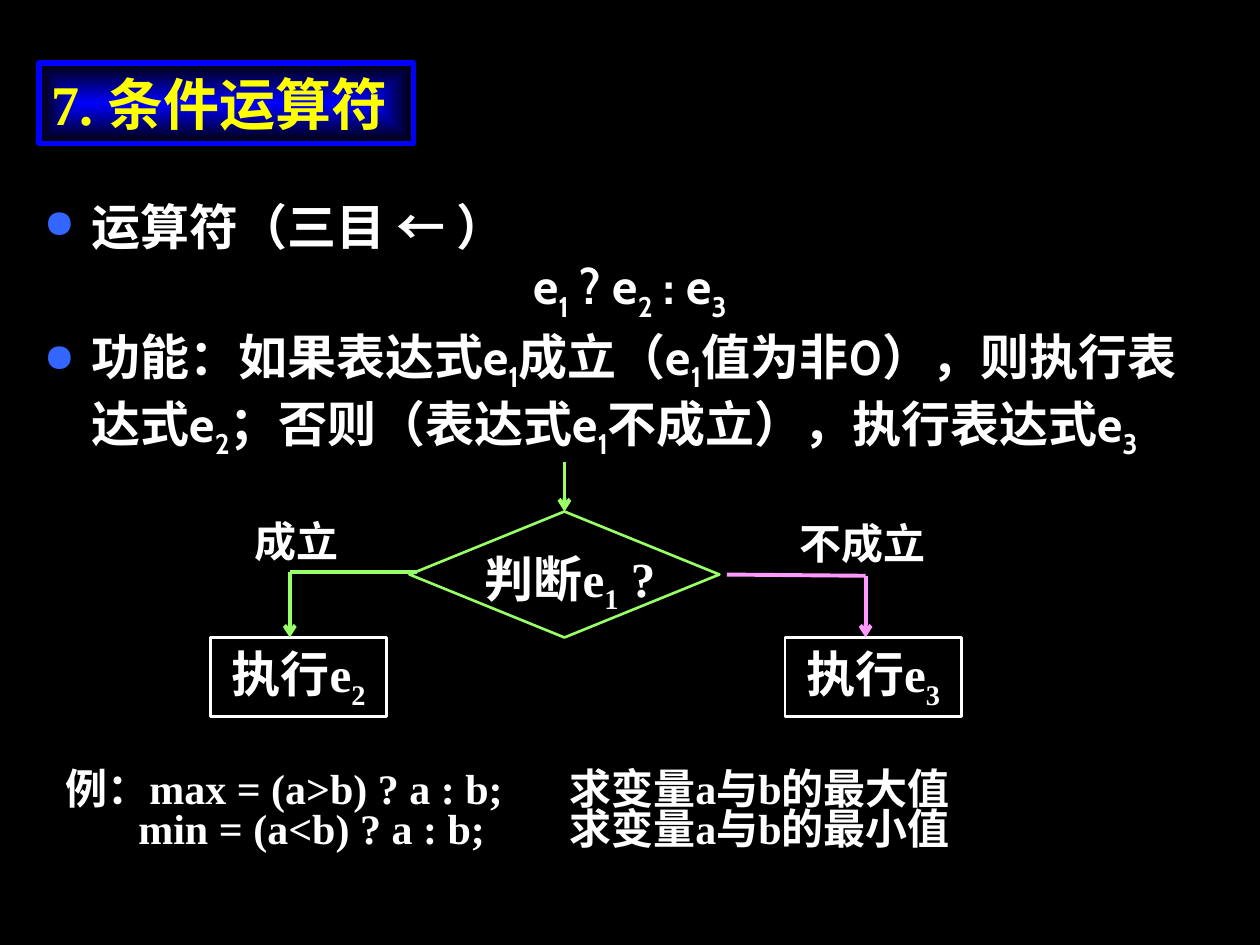
from lxml import etree
from pptx import Presentation
from pptx import util as u
from pptx.dml import color
from pptx.enum import shapes, text
from pptx.oxml import ns

# Content: "_" lowers the character that follows it
TITLE = "7. 条件运算符"
BODY = [
    ("运算符（三目 ← ）", "bullet"),
    ("e_1 ? e_2 : e_3", "formula"),
    ("功能：如果表达式e_1成立（e_1值为非0），则执行表达式e_2；"
     "否则（表达式e_1不成立），执行表达式e_3", "bullet"),
]
EXAMPLES = [
    "例：max = (a>b) ? a : b;\t求变量a与b的最大值",
    "\tmin = (a<b) ? a : b;\t求变量a与b的最小值",
]
QUESTION = "判断e_1 ?"

# Grid of 40 columns by 30 rows; areas are column, row, columns, rows
COLUMNS, ROWS = 40, 30
AREAS = {
    "title": (1.24, 2, 11.88, 2.56),
    "body": (1, 6.04, 38, 10.96),
    "examples": (1.68, 24.32, 38, 4),
    "decision": (13, 16.24, 9.84, 4),
    "question": (15, 17.4, 6.92, 2.12),
}
ACTION_ROW, ACTION_SIZE = 20.24, (5.6, 2.52)
INLET_ROW = 14.68
BRANCHES = [
    {"label": "成立", "label_area": (7.68, 16.16, 3.76, 2), "action": "执行e_2",
     "column": 6.68, "color": "yes", "start": (13.24, 18.16), "turn": (9.2, 18.16)},
    {"label": "不成立", "label_area": (25, 16.24, 5, 2), "action": "执行e_3",
     "column": 24.92, "color": "no", "start": (23.08, 18.24), "turn": (27.48, 18.28)},
]

THEME = {
    "background": "000000", "text": "FFFFFF", "title": "FFFF00", "frame": "0000FF",
    "bullet": "3366FF", "yes": "99FF66", "no": "FF99FF",
    "body_font": "Cabin", "font": "Times New Roman",
    "title_size": 32, "body_size": 28, "small_size": 24,
    "frame_width": 3, "outline_width": 1.5, "arrow_width": 2.25,
}

presentation = Presentation()
presentation.slide_width, presentation.slide_height = u.Inches(10), u.Inches(7.5)
slide = presentation.slides.add_slide(presentation.slide_layouts[6])


def rgb(name):
    return color.RGBColor.from_string(THEME[name])


def place(*values):
    cells = (presentation.slide_width / COLUMNS, presentation.slide_height / ROWS)
    return [u.Emu(round(value * cells[i % 2])) for i, value in enumerate(values)]


def add_child(parent, tag, **attributes):
    return etree.SubElement(parent, ns.qn(tag), attributes)


def set_values(target, values):
    for name, value in values.items():
        setattr(target, name, value)


def write(paragraph, content, size="body_size", font="font", ink="text", **layout):
    set_values(paragraph, layout)
    first, *lowered = content.split("_")
    pieces = [(first, False)]
    for part in lowered:
        pieces += [(part[0], True), (part[1:], False)]
    for piece, is_low in pieces:
        if not piece:
            continue
        run = paragraph.add_run()
        run.text = piece
        set_values(run.font, {"size": u.Pt(THEME[size]), "name": THEME[font], "bold": True})
        run.font.color.rgb = rgb(ink)
        if is_low:
            run.font._element.set("baseline", "-25000")


def add_text(area, content, **values):
    box = slide.shapes.add_textbox(*place(*area))
    box.text_frame.word_wrap = True
    write(box.text_frame.paragraphs[0], content, **values)
    return box.text_frame


def add_outline(kind, area, ink, width="outline_width"):
    shape = slide.shapes.add_shape(kind, *place(*area))
    shape.shadow.inherit = False
    shape.fill.background()
    shape.line.color.rgb = rgb(ink)
    shape.line.width = u.Pt(THEME[width])
    shape.text_frame.word_wrap = True
    return shape


def add_line(start, end, ink, arrow=False):
    line = slide.shapes.add_connector(shapes.MSO_CONNECTOR.STRAIGHT, *place(*start, *end))
    line.line.color.rgb = rgb(ink)
    line.line.width = u.Pt(THEME["arrow_width"])
    if arrow:
        add_child(line.line._get_or_add_ln(), "a:tailEnd", type="arrow")
    add_child(line._element.spPr, "a:effectLst")
    return line


def add_bullet(paragraph):
    properties = paragraph._p.get_or_add_pPr()
    indent = u.Inches(0.38)
    properties.set("marL", str(indent))
    properties.set("indent", str(-indent))
    add_child(add_child(properties, "a:buClr"), "a:srgbClr", val=THEME["bullet"])
    add_child(properties, "a:buSzPct", val="80000")
    add_child(properties, "a:buChar", char="●")


def add_tabs(paragraph, *inches):
    tabs = add_child(paragraph._p.get_or_add_pPr(), "a:tabLst")
    for position in inches:
        add_child(tabs, "a:tab", pos=str(u.Inches(position)), algn="l")


# Background and title with a gradient running out from its centre
slide.background.fill.solid()
slide.background.fill.fore_color.rgb = rgb("background")
title = add_outline(shapes.MSO_SHAPE.RECTANGLE, AREAS["title"], "frame", "frame_width")
title.fill.gradient()
for stop, ink in zip(title.fill.gradient_stops, ("frame", "background")):
    stop.color.rgb = rgb(ink)
linear = title._element.spPr.find(".//" + ns.qn("a:lin"))
gradient = linear.getparent()
gradient.remove(linear)
add_child(add_child(gradient, "a:path", path="rect"), "a:fillToRect",
          l="50000", t="50000", r="50000", b="50000")
title.text_frame.word_wrap = False
write(title.text_frame.paragraphs[0], TITLE, "title_size", ink="title",
      alignment=text.PP_ALIGN.LEFT)

# Operator and what it does
body = slide.shapes.add_textbox(*place(*AREAS["body"])).text_frame
body.word_wrap = True
for i, (content, style) in enumerate(BODY):
    paragraph = body.add_paragraph() if i else body.paragraphs[0]
    layout = {"space_before": u.Pt(7)} if i else {}
    if style == "bullet":
        add_bullet(paragraph)
    else:
        layout.update(alignment=text.PP_ALIGN.CENTER, line_spacing=0.7)
    write(paragraph, content, font="body_font", **layout)

# Examples, aligned on shared tab stops
examples = slide.shapes.add_textbox(*place(*AREAS["examples"])).text_frame
examples.word_wrap = True
for i, content in enumerate(EXAMPLES):
    paragraph = examples.add_paragraph() if i else examples.paragraphs[0]
    add_tabs(paragraph, 0.58, 4)
    write(paragraph, content, "small_size", line_spacing=0.8)

# Decision and its inlet
decision = add_outline(shapes.MSO_SHAPE.FLOWCHART_DECISION, AREAS["decision"], "yes")
add_text(AREAS["question"], QUESTION, line_spacing=0.8)
left, top, width, _ = AREAS["decision"]
middle = left + width / 2
inlet = add_line((middle, INLET_ROW), (middle, top), "yes", arrow=True)
inlet.end_connect(decision, 0)

# Two branches
for branch in BRANCHES:
    area = (branch["column"], ACTION_ROW, *ACTION_SIZE)
    action = add_outline(shapes.MSO_SHAPE.RECTANGLE, area, "text")
    write(action.text_frame.paragraphs[0], branch["action"],
          alignment=text.PP_ALIGN.CENTER)
    add_line(branch["start"], branch["turn"], branch["color"])
    add_line(branch["turn"], (branch["turn"][0], ACTION_ROW), branch["color"], arrow=True)
    add_text(branch["label_area"], branch["label"], size="small_size")

presentation.save("out.pptx")
